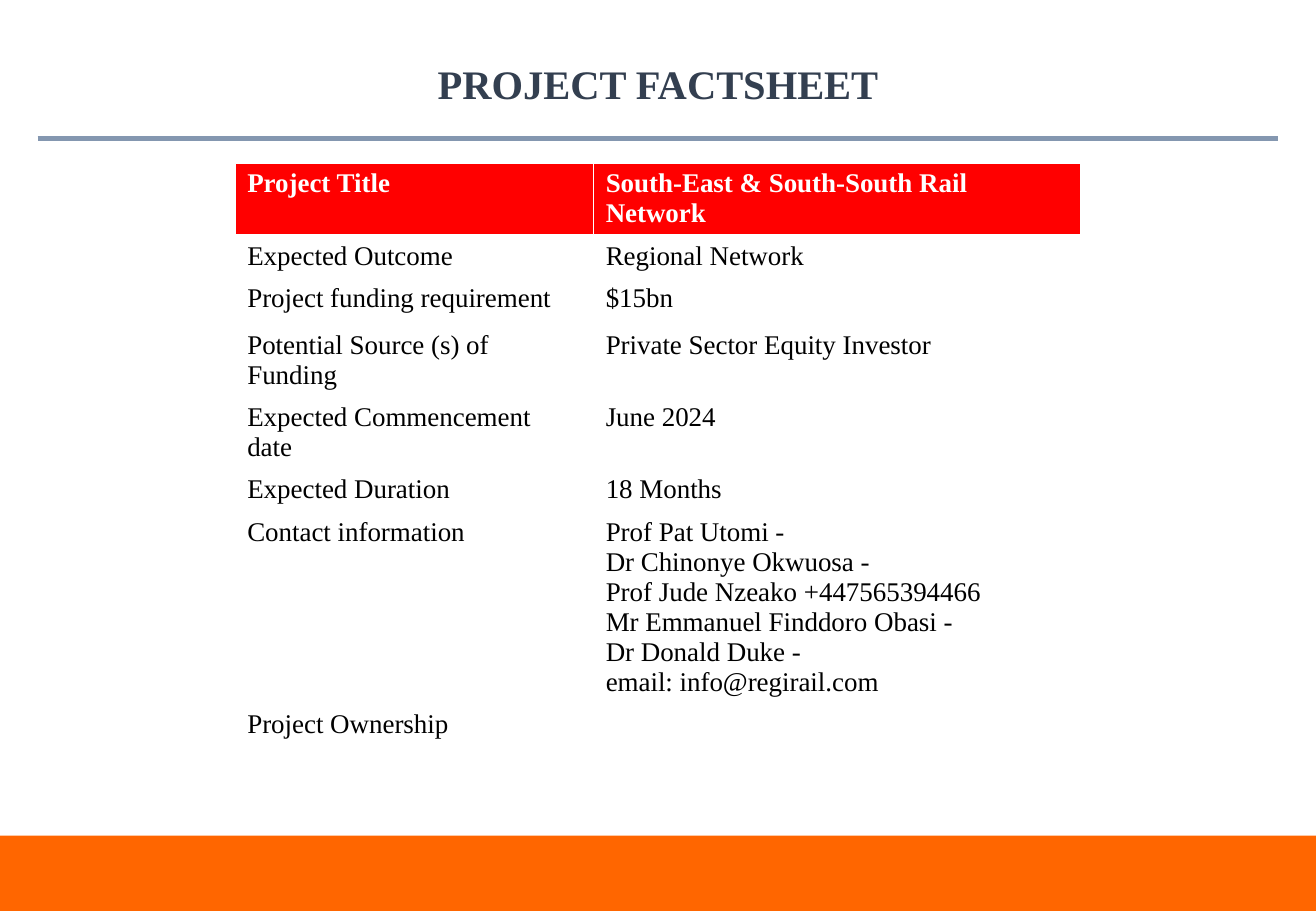
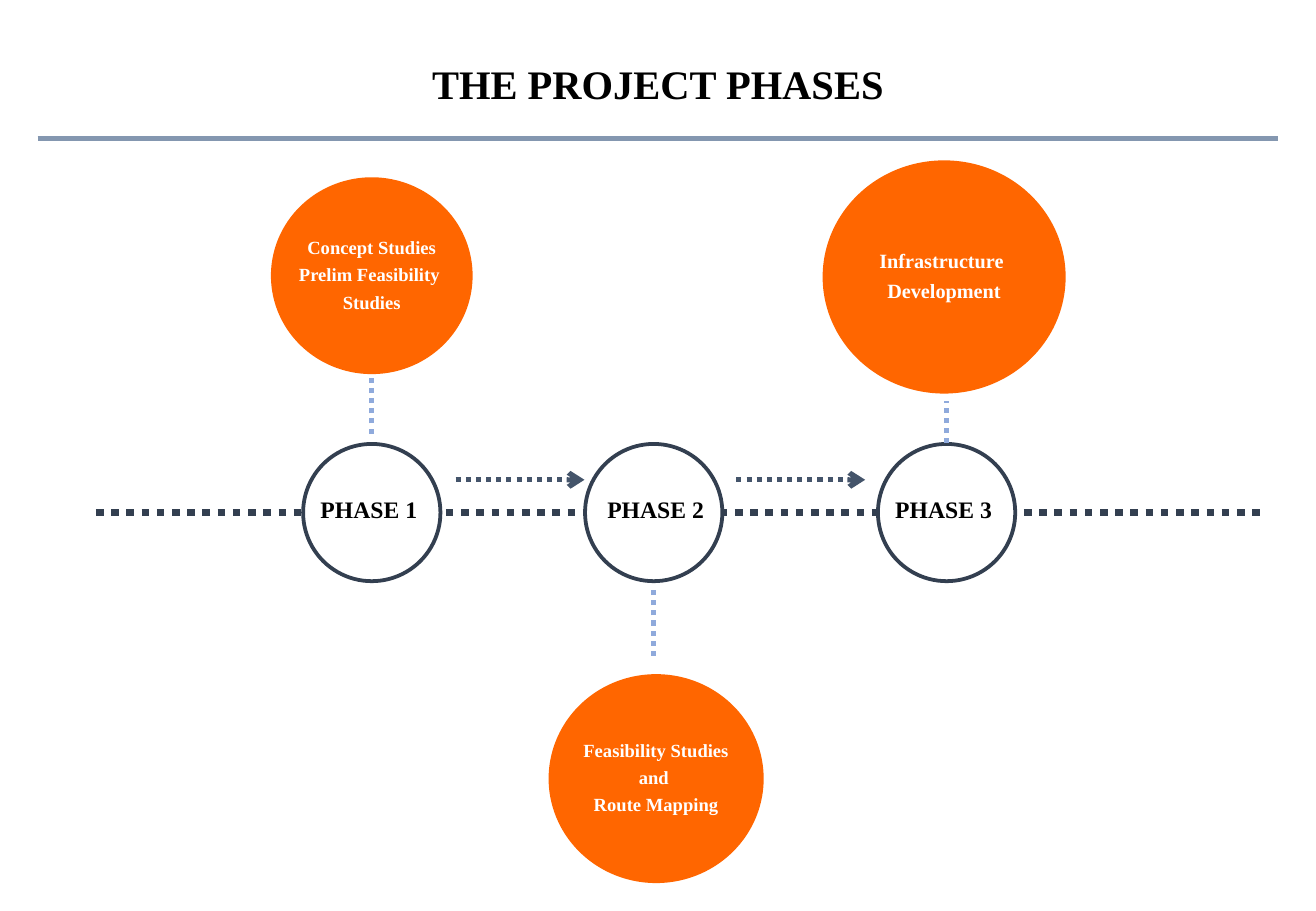
from lxml.etree import SubElement
from pptx import Presentation
from pptx.dml.color import RGBColor
from pptx.enum.dml import MSO_LINE
from pptx.enum.shapes import MSO_CONNECTOR, MSO_SHAPE
from pptx.enum.text import MSO_ANCHOR, PP_ALIGN
from pptx.oxml.ns import qn
from pptx.util import Inches as In, Pt

hex_color = RGBColor.from_string
WIDTH, HEIGHT, MARGIN = 10.83, 7.5, 0.31
FONT = "Times New Roman"
WHITE, BLACK, NAVY, ORANGE = "FFFFFF", "000000", "333F50", "FF6600"
RULE, STEM, ARROW, RED = "8497B0", "8FAADC", "44546A", "FF0000"


def write(frame, lines, size, color, bold=True, align=PP_ALIGN.CENTER, spacing=0.9, gap=0):
    frame.text = "\n".join(lines)
    for paragraph in frame.paragraphs:
        paragraph.alignment = align
        paragraph.line_spacing = spacing
        paragraph.space_before = Pt(0)
        paragraph.space_after = Pt(gap)
        for run in paragraph.runs:
            run.font.name = FONT
            run.font.size = Pt(size)
            run.font.bold = bold
            run.font.color.rgb = hex_color(color)


def draw_line(slide, start, end, color, weight, dotted=False, arrow=False):
    ends = [In(value) for value in (*start, *end)]
    connector = slide.shapes.add_connector(MSO_CONNECTOR.STRAIGHT, *ends)
    connector.line.color.rgb = hex_color(color)
    connector.line.width = Pt(weight)
    if dotted:
        connector.line.dash_style = MSO_LINE.ROUND_DOT
    properties = connector.element.spPr
    if arrow:
        SubElement(properties.find(qn("a:ln")), qn("a:tailEnd"), type="arrow")
    SubElement(properties, qn("a:effectLst"))


deck = Presentation()
deck.slide_width, deck.slide_height = In(WIDTH), In(HEIGHT)

slides = []
for heading, color in (("PROJECT FACTSHEET", NAVY), ("THE PROJECT PHASES", BLACK)):
    slide = deck.slides.add_slide(deck.slide_layouts[5])
    title = slide.shapes.title
    title.left, title.top = In(MARGIN), In(0.4)
    title.width, title.height = In(WIDTH - 2 * MARGIN), In(0.62)
    title.text_frame.vertical_anchor = MSO_ANCHOR.MIDDLE
    write(title.text_frame, [heading], 24, color)
    draw_line(slide, (MARGIN, 1.14), (WIDTH - MARGIN, 1.14), RULE, 3)
    slides.append(slide)
factsheet, phases = slides

facts = [
    ("Project Title", ["South-East & South-South Rail Network"], 0.59),
    ("Expected Outcome", ["Regional Network"], 0.34),
    ("Project funding requirement", ["$15bn"], 0.39),
    ("Potential Source (s) of Funding", ["Private Sector Equity Investor"], 0.59),
    ("Expected Commencement date", ["June 2024"], 0.59),
    ("Expected Duration", ["18 Months"], 0.34),
    ("Contact information", [
        "Prof Pat Utomi -",
        "Dr Chinonye Okwuosa -",
        "Prof Jude Nzeako +447565394466",
        "Mr Emmanuel Finddoro Obasi -",
        "Dr Donald Duke -",
        "email: info@regirail.com",
    ], 1.58),
    ("Project Ownership", [], 0.34),
]
columns = (2.95, 4.01)
table = factsheet.shapes.add_table(
    len(facts), 2, In((WIDTH - sum(columns)) / 2), In(1.34),
    In(sum(columns)), In(sum(fact[2] for fact in facts))).table
table.horz_banding = False
for column, width in zip(table.columns, columns):
    column.width = In(width)
for index, (label, details, height) in enumerate(facts):
    header = index == 0
    table.rows[index].height = In(height)
    for cell, lines in zip(table.rows[index].cells, ([label], details)):
        cell.fill.solid()
        cell.fill.fore_color.rgb = hex_color(RED if header else WHITE)
        write(cell.text_frame, lines, 16, WHITE if header else BLACK,
              bold=header, align=PP_ALIGN.LEFT, spacing=1.0)
        if not lines:
            cell.text_frame.paragraphs[0].font.size = Pt(16)

band_height = 0.62
band = factsheet.shapes.add_shape(
    MSO_SHAPE.RECTANGLE, 0, In(HEIGHT - band_height), In(WIDTH), In(band_height))
band.shadow.inherit = False
band.fill.solid()
band.fill.fore_color.rgb = hex_color(ORANGE)
band.line.fill.background()

axis, ring_size, label_width, label_height = 4.22, 1.13, 1.39, 0.31
draw_line(phases, (0.79, axis), (10.39, axis), NAVY, 4.5, dotted=True)

steps = [
    ("PHASE 1 ", 3.06, 3.06, (3.06, 2.27, 1.66, 1.62), (3.57, 3.11), 11,
     ["Concept Studies", "Prelim Feasibility ", "Studies"]),
    ("PHASE 2 ", 5.38, 5.42, (5.4, 6.41, 1.77, 1.72), (5.4, 4.86), 11,
     ["Feasibility Studies", "and ", "Route Mapping"]),
    ("PHASE 3 ", 7.79, 7.79, (7.77, 2.28, 2, 1.92), (3.65, 3.3), 12,
     ["Infrastructure ", "Development"]),
]
for name, center, label_center, bubble, stem, size, tasks in steps:
    ring = (center, axis, ring_size, ring_size)
    for (x, y, width, height), fill in ((ring, WHITE), (bubble, ORANGE)):
        oval = phases.shapes.add_shape(
            MSO_SHAPE.OVAL, In(x - width / 2), In(y - height / 2), In(width), In(height))
        oval.shadow.inherit = False
        oval.fill.solid()
        oval.fill.fore_color.rgb = hex_color(fill)
        if fill == WHITE:
            oval.line.color.rgb = hex_color(NAVY)
            oval.line.width = Pt(2.25)
        else:
            oval.line.fill.background()
            oval.text_frame.word_wrap = False
            oval.text_frame.vertical_anchor = MSO_ANCHOR.MIDDLE
            write(oval.text_frame, tasks, size, WHITE, gap=4.3)
    draw_line(phases, (center, stem[0]), (center, stem[1]), STEM, 3, dotted=True)
    label = phases.shapes.add_textbox(
        In(label_center - label_width / 2), In(4.05), In(label_width), In(label_height))
    label.text_frame.word_wrap = True
    label.text_frame.vertical_anchor = MSO_ANCHOR.MIDDLE
    write(label.text_frame, [name], 14, BLACK)

for start in (3.75, 6.06):
    draw_line(phases, (start, 3.95), (start + 1.06, 3.95), ARROW, 3, dotted=True, arrow=True)

deck.save("out.pptx")
